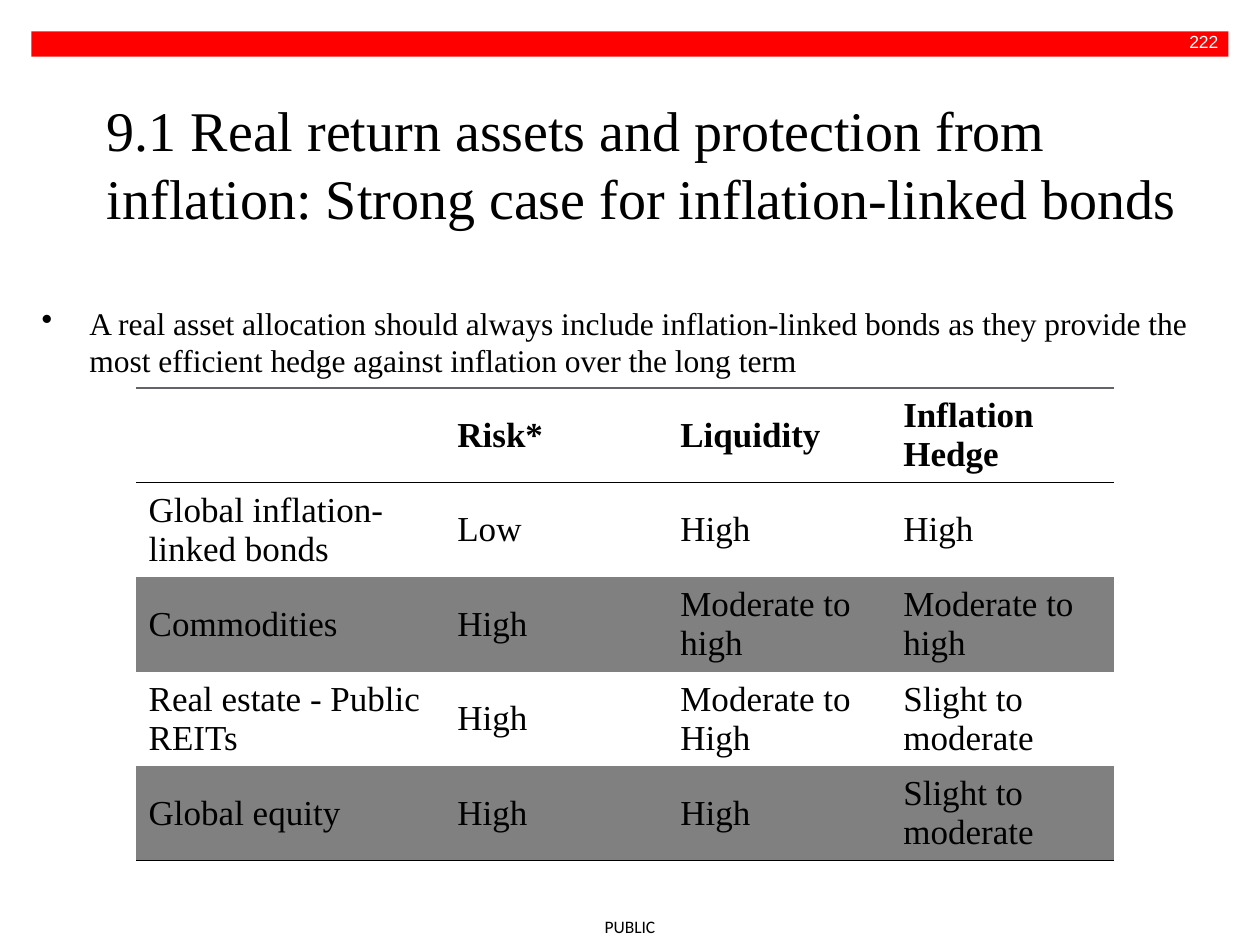
import dataclasses
import typing

import pptx
import pptx.dml.color
import pptx.enum.shapes
import pptx.enum.text
import pptx.oxml
import pptx.oxml.ns
import pptx.util

Inches = pptx.util.Inches
Anchor = pptx.enum.text.MSO_ANCHOR
Align = pptx.enum.text.PP_ALIGN
SERIF = "Times New Roman"


@dataclasses.dataclass
class TextBlock:
    text: str
    box: tuple[float, float, float, float]
    insets: tuple[float, float, float, float] = (0, 0, 0, 0)
    text_format: dict[str, typing.Any] = dataclasses.field(default_factory=dict)
    fill: str | None = None


@dataclasses.dataclass
class TableRow:
    labels: tuple[str, str, str, str]
    fill: str | None = None
    top: str | None = None
    bottom: str | None = None
    bold: bool = False


BLOCKS = [
    TextBlock("222", (0.25, 0.25, 9.5, 0.2), (0.08, 0, 0.08, 0),
              dict(size=10, font="Arial", color="FFFFFF", align=Align.RIGHT), fill="FF0000"),
    TextBlock("PUBLIC", (4.65, 7.21, 0.7, 0.29),
              text_format=dict(size=10, font="Calibri", align=Align.CENTER, anchor=Anchor.MIDDLE)),
    TextBlock("9.1 Real return assets and protection from inflation: "
              "Strong case for inflation-linked bonds",
              (0.75, 0.67, 9.25, 1.25), (0.1, 0.05, 0.1, 0.05),
              dict(size=32, anchor=Anchor.MIDDLE)),
    TextBlock("A real asset allocation should always include inflation-linked bonds as they "
              "provide the most efficient hedge against inflation over the long term",
              (0.33, 2.39, 9.17, 0.65), (0, 0.02, 0, 0), dict(size=18, bullet=True)),
]

ROWS = [
    TableRow(("", "Risk*", "Liquidity", "Inflation Hedge"),
             top="626469", bottom="000000", bold=True),
    TableRow(("Global inflation-linked bonds", "Low", "High", "High"), top="000000"),
    TableRow(("Commodities", "High", "Moderate to high", "Moderate to high"), fill="808080"),
    TableRow(("Real estate - Public REITs", "High", "Moderate to High", "Slight to moderate")),
    TableRow(("Global equity", "High", "High", "Slight to moderate"),
             fill="808080", bottom="000000"),
]
COLUMN_WIDTHS = (2.45, 1.77, 1.77, 1.77)
ROW_HEIGHT = 0.75


def set_color(target, color: str) -> None:
    target.rgb = pptx.dml.color.RGBColor.from_string(color)


def set_fill(fill, color: str | None) -> None:
    if color is None:
        fill.background()
    else:
        fill.solid()
        set_color(fill.fore_color, color)


def write_text(text_frame, text: str, *, size: float, font: str = SERIF, color: str = "000000",
               bold: bool = False, align=Align.LEFT, anchor=Anchor.TOP,
               bullet: bool = False) -> None:
    text_frame.word_wrap = True
    text_frame.vertical_anchor = anchor
    paragraph = text_frame.paragraphs[0]
    paragraph.text = text
    paragraph.alignment = align
    if bullet:
        properties = paragraph._p.get_or_add_pPr()
        properties.set("marL", str(Inches(0.38)))
        properties.set("indent", str(Inches(-0.38)))
        properties.append(pptx.oxml.parse_xml(
            f'<a:buChar {pptx.oxml.ns.nsdecls("a")} char="•"/>'))
    paragraph.font.size = pptx.util.Pt(size)
    paragraph.font.name = font
    paragraph.font.bold = bold
    set_color(paragraph.font.color, color)


def set_margins(target, insets: tuple[float, float, float, float]) -> None:
    sides = ("left", "top", "right", "bottom")
    for side, inset in zip(sides, insets):
        setattr(target, f"margin_{side}", Inches(inset))


def add_block(slide, block: TextBlock) -> None:
    box = [Inches(value) for value in block.box]
    if block.fill:
        shape = slide.shapes.add_shape(pptx.enum.shapes.MSO_SHAPE.RECTANGLE, *box)
        shape.shadow.inherit = False
        shape.line.fill.background()
        set_fill(shape.fill, block.fill)
    else:
        shape = slide.shapes.add_textbox(*box)
    set_margins(shape.text_frame, block.insets)
    write_text(shape.text_frame, block.text, **block.text_format)


def set_borders(cell, top: str | None, bottom: str | None) -> None:
    properties = cell._tc.get_or_add_tcPr()
    sides = {"L": None, "R": None, "T": top, "B": bottom}
    for position, (side, color) in enumerate(sides.items()):
        paint = (f'<a:solidFill><a:srgbClr val="{color}"/></a:solidFill>'
                 if color else "<a:noFill/>")
        properties.insert(position, pptx.oxml.parse_xml(
            f'<a:ln{side} {pptx.oxml.ns.nsdecls("a")} w="{pptx.util.Pt(1)}">'
            f"{paint}</a:ln{side}>"))


def add_asset_table(slide, rows: list[TableRow]) -> None:
    frame = slide.shapes.add_table(
        len(rows), len(COLUMN_WIDTHS), Inches(1.08), Inches(3.08),
        Inches(sum(COLUMN_WIDTHS)), Inches(ROW_HEIGHT * len(rows)))
    table = frame.table
    table.first_row = False
    table.horz_banding = False
    for column, width in zip(table.columns, COLUMN_WIDTHS):
        column.width = Inches(width)
    for table_row, row in zip(table.rows, rows):
        table_row.height = Inches(ROW_HEIGHT)
        for cell, label in zip(table_row.cells, row.labels):
            set_margins(cell, (0.1, 0.04, 0.1, 0.04))
            write_text(cell.text_frame, label, size=20, bold=row.bold)
            cell.vertical_anchor = Anchor.MIDDLE
            set_fill(cell.fill, row.fill)
            set_borders(cell, row.top, row.bottom)


def main() -> None:
    presentation = pptx.Presentation()
    presentation.slide_width = Inches(10)
    presentation.slide_height = Inches(7.5)
    slide = presentation.slides.add_slide(presentation.slide_layouts[6])
    for block in BLOCKS:
        add_block(slide, block)
    add_asset_table(slide, ROWS)
    presentation.save("out.pptx")


if __name__ == "__main__":
    main()
